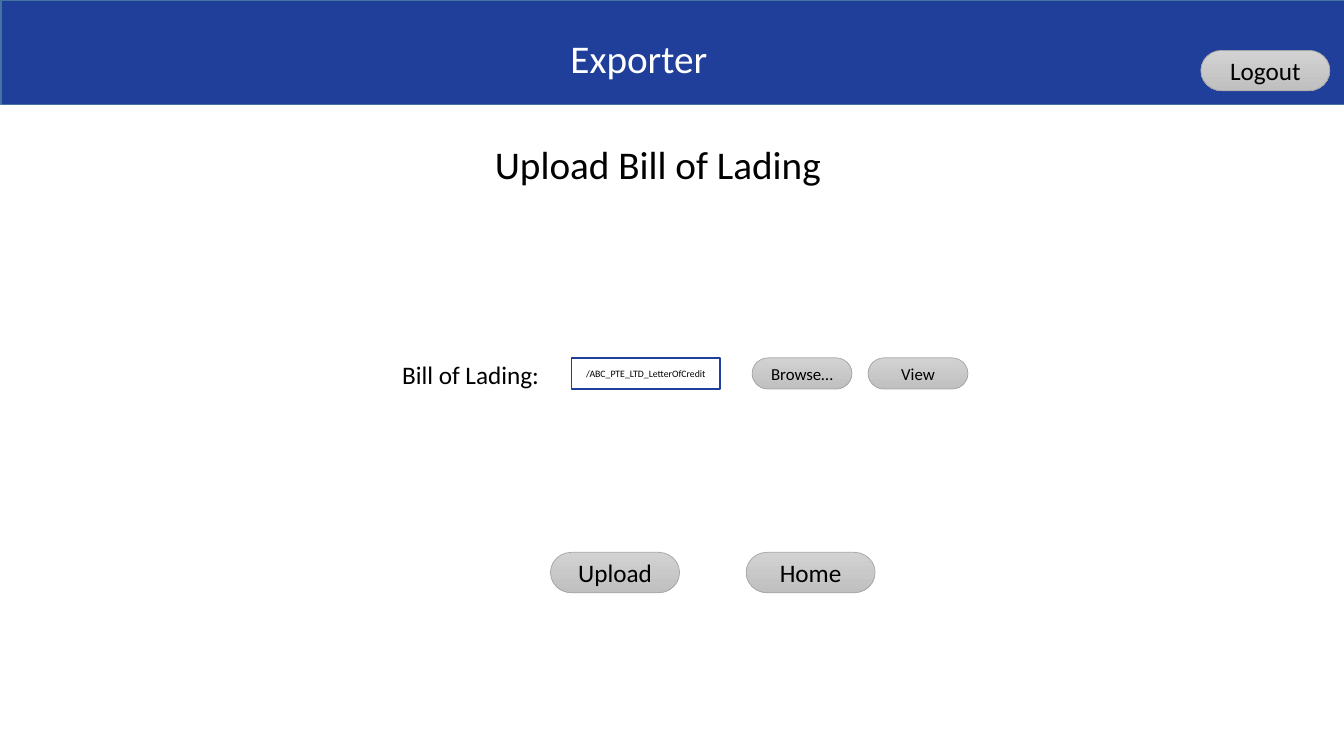
import pptx
import pptx.util
import pptx.dml.color
import pptx.enum.shapes
import pptx.enum.text

Inches = pptx.util.Inches
Pt = pptx.util.Pt
kinds = pptx.enum.shapes.MSO_SHAPE
align = pptx.enum.text.PP_ALIGN
anchor = pptx.enum.text.MSO_ANCHOR
color = pptx.dml.color.RGBColor.from_string


def write(shape, text, size, ink="000000"):
    shape.text_frame.word_wrap = True
    para = shape.text_frame.paragraphs[0]
    run = para.add_run()
    run.text = text
    run.font.name = "Calibri"
    run.font.size = Pt(size)
    run.font.color.rgb = color(ink)
    return para


def draw(kind, left, top, width, height, line, weight):
    shape = slide.shapes.add_shape(
        kind, Inches(left), Inches(top), Inches(width), Inches(height))
    shape.shadow.inherit = False
    shape.line.color.rgb = color(line)
    shape.line.width = Pt(weight)
    shape.text_frame.vertical_anchor = anchor.MIDDLE
    return shape


deck = pptx.Presentation()
deck.slide_width = Inches(13.33)
deck.slide_height = Inches(7.5)
slide = deck.slides.add_slide(deck.slide_layouts[6])

# Header band
band = draw(kinds.RECTANGLE, 0.01, 0, 13.33, 1.04, "43739E", 1)
band.fill.solid()
band.fill.fore_color.rgb = color("203F9A")

# Titles and field label
labels = [
    ("Exporter", 5.56, 0.34, 1.77, 28, "FFFFFF"),
    ("Upload Bill of Lading", 4.81, 1.4, 3.85, 28, "000000"),
    ("Bill of Lading:", 3.89, 3.55, 2.5, 18, "000000"),
]
for text, left, top, width, size, ink in labels:
    box = slide.shapes.add_textbox(
        Inches(left), Inches(top), Inches(width), Inches(0.4))
    write(box, text, size, ink).line_spacing = 0.9

# File field
field = draw(kinds.RECTANGLE, 5.67, 3.55, 1.47, 0.31, "203F9A", 1)
field.fill.background()
write(field, "/ABC_PTE_LTD_LetterOfCredit", 7).alignment = align.CENTER

# Buttons: large ones for the page, small ones for the file
large = (1.28, 0.4, 18)
small = (0.99, 0.31, 12)
buttons = [
    ("Logout", 11.91, 0.5, large),
    ("Browse…", 7.46, 3.55, small),
    ("View", 8.61, 3.55, small),
    ("Upload", 5.46, 5.48, large),
    ("Home", 7.4, 5.48, large),
]
for text, left, top, (width, height, size) in buttons:
    button = draw(kinds.FLOWCHART_TERMINATOR, left, top, width, height,
                  "A5A5A5", 0.5)
    button.fill.gradient()
    button.fill.gradient_angle = 270
    for stop, tone in zip(button.fill.gradient_stops, ("D2D2D2", "C0C0C0")):
        stop.color.rgb = color(tone)
    write(button, text, size).alignment = align.CENTER

deck.save("out.pptx")
